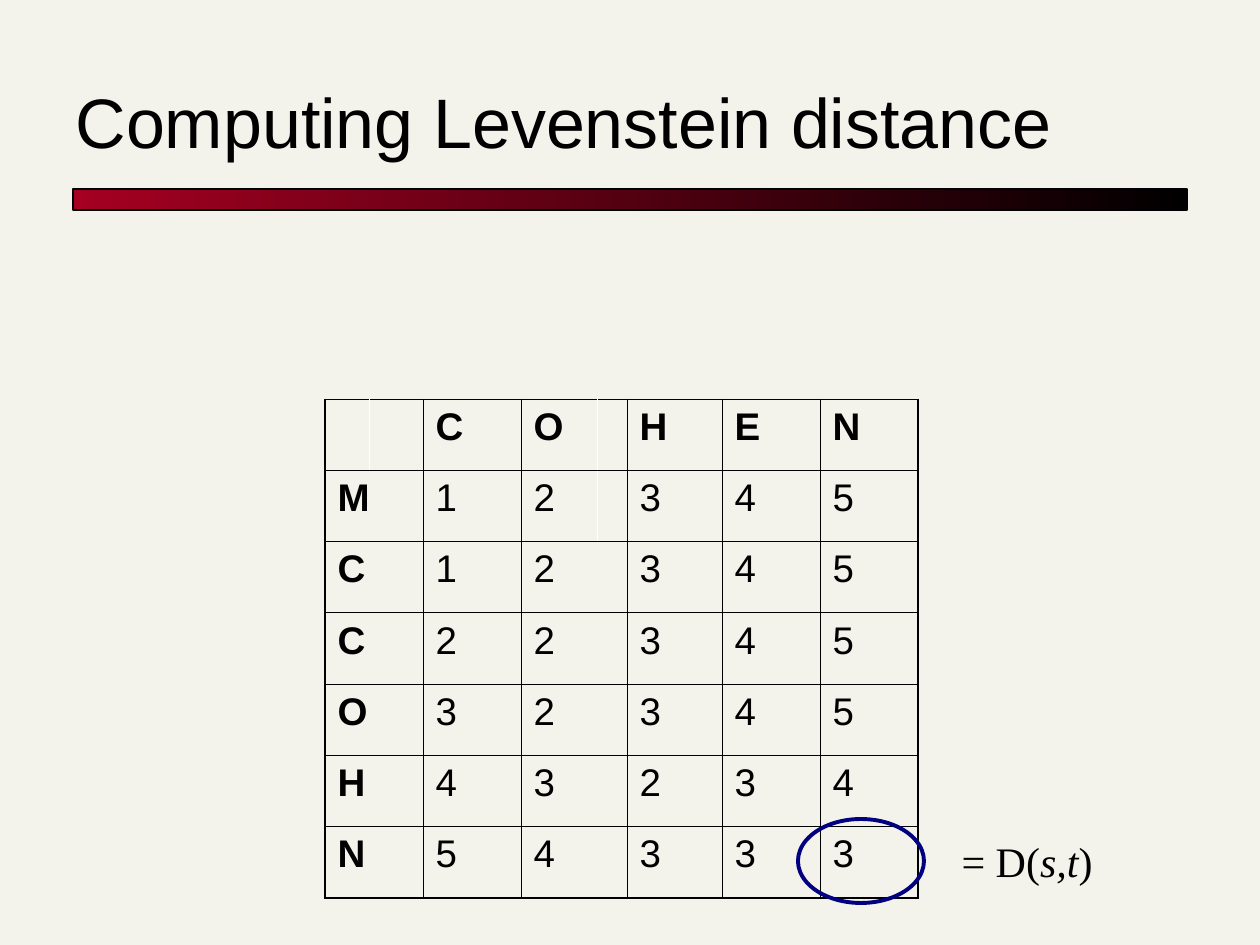
"""Build the slide that shows the Levenstein distance matrix."""
from dataclasses import dataclass
from typing import NamedTuple

from lxml import etree
from pptx import Presentation
from pptx.dml.color import RGBColor
from pptx.enum.shapes import MSO_SHAPE
from pptx.enum.text import MSO_ANCHOR, MSO_AUTO_SIZE, PP_ALIGN
from pptx.oxml.ns import qn
from pptx.util import Emu, Pt

RECT, OVAL = MSO_SHAPE.RECTANGLE, MSO_SHAPE.OVAL
BOTTOM, FIT = MSO_ANCHOR.BOTTOM, MSO_AUTO_SIZE.SHAPE_TO_FIT_TEXT
NO_FIT = MSO_AUTO_SIZE.NONE
LEFT, CENTER = PP_ALIGN.LEFT, PP_ALIGN.CENTER
SCALE = 914400 / 126


@dataclass(frozen=True)
class Theme:
    paper: str = "F4F3EB"
    ink: str = "000000"
    accent: str = "A50021"
    ring: str = "000080"
    divider: str = "FFFFFF"
    sans: str = "Arial"
    serif: str = "Times New Roman"
    title_size: int = 40
    cell_size: int = 22
    label_size: int = 24
    thin: float = 0.45
    thick: float = 1.08


class Box(NamedTuple):
    x: int
    y: int
    w: int
    h: int


class Split(NamedTuple):
    col: int
    divided_rows: int


THEME = Theme()
COLUMNS = (44, 54, 98, 76, 30, 95, 98, 98)
SPLITS = (Split(0, 1), Split(3, 2))
TEXT_COLUMNS = (0, 2, 3, 5, 6, 7)
MATRIX = (" COHEN", "M12345", "C12345", "C22345", "O32345", "H43234", "N54333")


def px(n: int) -> Emu:
    return Emu(round(n * SCALE))


def place(box: Box) -> tuple:
    return tuple(px(n) for n in box)


def style(r, size: int, font: str, bold: bool = False, italic: bool = False) -> None:
    f = r.font
    f.size, f.name, f.bold, f.italic = Pt(size), font, bold, italic
    f.color.rgb = RGBColor.from_string(THEME.ink)


def set_border(cell, side: str, color: str, width: float) -> None:
    ln = etree.SubElement(cell._tc.get_or_add_tcPr(), qn(f"a:ln{side}"), w=str(Pt(width)))
    fill = etree.SubElement(ln, qn("a:solidFill"))
    etree.SubElement(fill, qn("a:srgbClr"), val=color)


def draw_title(s, text: str, box: Box) -> None:
    sp = s.shapes.title
    sp.left, sp.top, sp.width, sp.height = place(box)
    tf = sp.text_frame
    tf.text, tf.vertical_anchor, tf.auto_size = text, BOTTOM, NO_FIT
    p = tf.paragraphs[0]
    p.alignment = LEFT
    style(p.runs[0], THEME.title_size, THEME.sans)


def draw_bar(s, box: Box) -> None:
    sp = s.shapes.add_shape(RECT, *place(box))
    sp.shadow.inherit = False
    sp.fill.gradient()
    sp.fill.gradient_angle = 180
    for stop, color in zip(sp.fill.gradient_stops, (THEME.ink, THEME.accent)):
        stop.color.rgb = RGBColor.from_string(color)
    sp.line.color.rgb = RGBColor.from_string(THEME.ink)
    sp.line.width = Pt(0.75)


def border_cell(cell, row: int, col: int) -> None:
    merged = cell.is_merge_origin or cell.is_spanned
    starts = [split.col for split in SPLITS]
    outer = {"L": col == 0, "R": col == len(COLUMNS) - 1,
             "T": False, "B": row == len(MATRIX) - 1}
    divided = {"L": col - 1 in starts, "R": col in starts}
    for side, edge in outer.items():
        white = divided.get(side, False) and not merged
        set_border(cell, side, THEME.divider if white else THEME.ink,
                   THEME.thick if edge else THEME.thin)


def draw_matrix(s, box: Box) -> None:
    n_rows = len(MATRIX)
    table = s.shapes.add_table(n_rows, len(COLUMNS), *place(box)).table
    table.first_row = table.horz_banding = False
    for column, width in zip(table.columns, COLUMNS):
        column.width = px(width)
    for row in table.rows:
        row.height = px(box.h) // n_rows
    for col, divided_rows in SPLITS:
        for i in range(divided_rows, n_rows):
            table.cell(i, col).merge(table.cell(i, col + 1))
    for i, line in enumerate(MATRIX):
        for j in range(len(COLUMNS)):
            cell = table.cell(i, j)
            border_cell(cell, i, j)
            cell.fill.background()
        for j, text in zip(TEXT_COLUMNS, line):
            if text.strip():
                tf = table.cell(i, j).text_frame
                tf.text = text
                style(tf.paragraphs[0].runs[0], THEME.cell_size, THEME.sans,
                      bold=i == 0 or j == 0)


def draw_result(s, ring: Box, label: Box) -> None:
    group = s.shapes.add_group_shape()
    sp = group.shapes.add_shape(OVAL, *place(ring))
    sp.shadow.inherit = False
    sp.fill.background()
    sp.line.color.rgb = RGBColor.from_string(THEME.ring)
    sp.line.width = Pt(2.25)
    tf = group.shapes.add_textbox(*place(label)).text_frame
    tf.word_wrap, tf.auto_size = False, FIT
    p = tf.paragraphs[0]
    p.alignment = CENTER
    for text, italic in (("= D(", False), ("s,t", True), (")", False)):
        r = p.add_run()
        r.text = text
        style(r, THEME.label_size, THEME.serif, italic=italic)


def main() -> None:
    prs = Presentation()
    prs.slide_width, prs.slide_height = px(1260), px(945)
    s = prs.slides.add_slide(prs.slide_layouts[5])
    s.background.fill.solid()
    s.background.fill.fore_color.rgb = RGBColor.from_string(THEME.paper)
    draw_bar(s, Box(73, 189, 1114, 21))
    draw_title(s, "Computing Levenstein distance", Box(63, 53, 1071, 116))
    draw_matrix(s, Box(325, 399, sum(COLUMNS), 499))
    draw_result(s, Box(798, 819, 126, 84), Box(949, 829, 156, 63))
    prs.save("out.pptx")


if __name__ == "__main__":
    main()
